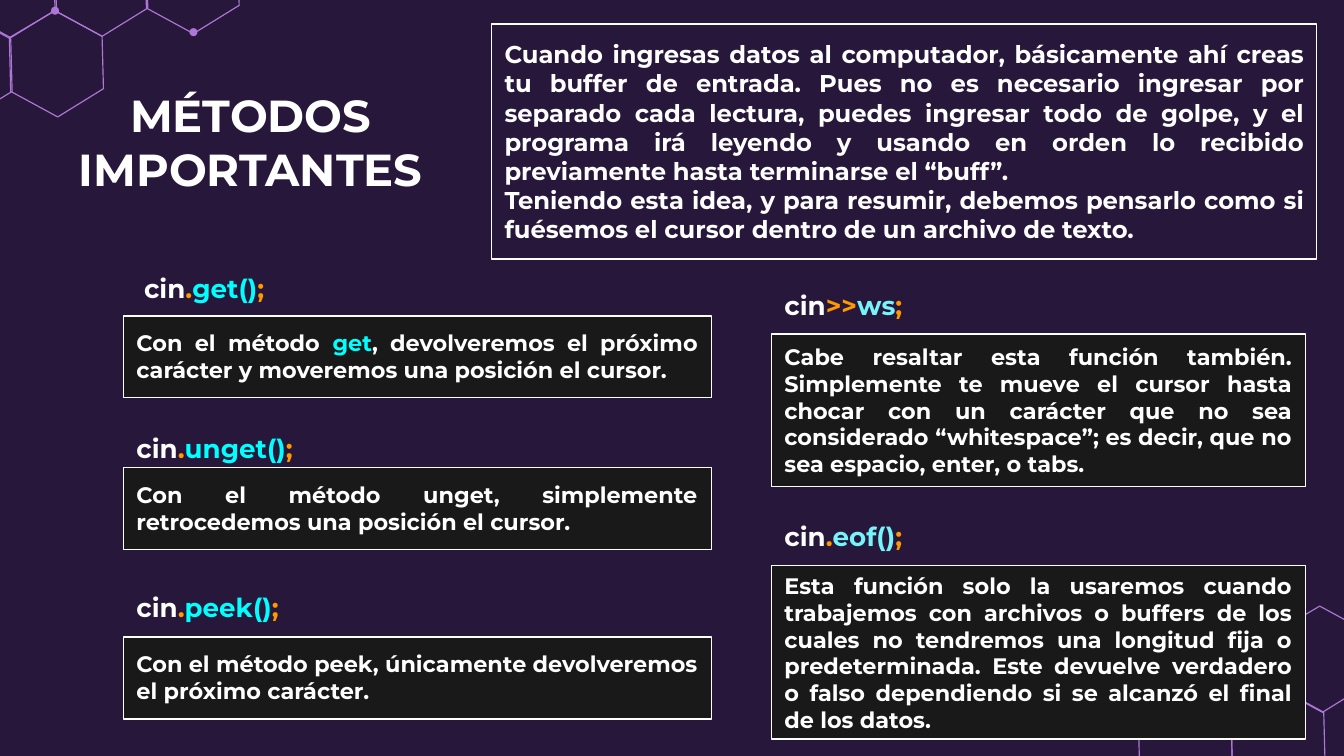
import pptx
import pptx.dml.color
import pptx.enum.shapes
import pptx.enum.text
import pptx.util

COLORS = {
    "night": "27173A", "panel": "191919", "white": "FFFFFF", "violet": "AE77D6",
    "orange": "FF9900", "cyan": "00FFFF", "sky": "76F3FB",
}
WIDTH = pptx.util.Inches(10)
HEIGHT = WIDTH * 9 // 16
COLS = 100
CELL = WIDTH // COLS
LEFT, RIGHT = 9.17, 57.38
LEFT_W, RIGHT_W = 43.75, 39.75
HEXAGON = [(7.1, 5.8), (7, 1.9), (3.5, 0), (0.1, 2), (0.2, 6), (3.7, 7.9)]
HEXAGONS = [
    (-2.9, -5.1), (3.9, -5.2), (10.7, -5.4), (-6.2, 1), (0.6, 0.8),
    (94.7, 45.1), (84.6, 51.3), (91.5, 51.1),
]
DOTS = [(3.8, 0.5), (14.1, 2.1)]
INTRO = [
    [("Cuando ingresas datos al computador, básicamente ahí creas tu buffer de entrada. "
      "Pues no es necesario ingresar por separado cada lectura, puedes ingresar todo de golpe, "
      "y el programa irá leyendo y usando en orden lo recibido previamente hasta terminarse "
      "el “buff”.", "white")],
    [("Teniendo esta idea, y para resumir, debemos pensarlo como si fuésemos el cursor "
      "dentro de un archivo de texto.", "white")],
]
CALLS = [
    ((9.74, 19.3, 20.3, 4.4), ".", "get()", "cyan"),
    ((LEFT, 31.2, 20.3, 4.4), ".", "unget()", "cyan"),
    ((LEFT, 43, 20.3, 4.4), ".", "peek()", "cyan"),
    ((RIGHT, 20.5, 17.5, 4.4), ">>", "ws", "sky"),
    ((RIGHT, 37.74, 17.5, 4.4), ".", "eof()", "sky"),
]
PANELS = [
    ((LEFT, 23.5, LEFT_W, 6.1), "TOP", [
        ("Con el método ", "white"), ("get", "cyan"),
        (", devolveremos el próximo carácter y moveremos una posición el cursor.", "white")]),
    ((LEFT, 34.8, LEFT_W, 6.1), "TOP", [
        ("Con el método unget, simplemente retrocedemos una posición el cursor.", "white")]),
    ((LEFT, 47.4, LEFT_W, 6.1), "TOP", [
        ("Con el método peek, únicamente devolveremos el próximo carácter.", "white")]),
    ((RIGHT, 24.85, RIGHT_W, 11.34), "MIDDLE", [
        ("Cabe resaltar esta función también. Simplemente te mueve el cursor hasta chocar con "
         "un carácter que no sea considerado “whitespace”; es decir, que no sea espacio, "
         "enter, o tabs.", "white")]),
    ((RIGHT, 42.1, RIGHT_W, 12.9), "MIDDLE", [
        ("Esta función solo la usaremos cuando trabajemos con archivos o buffers de los cuales "
         "no tendremos una longitud fija o predeterminada. Este devuelve verdadero o falso "
         "dependiendo si se alcanzó el final de los datos.", "white")]),
]


def rgb(name):
    """Return the named colour."""
    return pptx.dml.color.RGBColor.from_string(COLORS[name])


def cells(*counts):
    """Turn counts of grid cells into lengths."""
    return [round(n * CELL) for n in counts]


def apply(target, values):
    """Set each attribute of target from a dict."""
    for name, value in values.items():
        setattr(target, name, value)


def style(sp, fill=None, line=None, width=0.75):
    """Set fill and outline and drop the shadow."""
    sp.shadow.inherit = False
    for part, color in ((sp.fill, fill), (sp.line.fill, line)):
        if color:
            part.solid()
            part.fore_color.rgb = rgb(color)
        else:
            part.background()
    if line:
        sp.line.width = pptx.util.Pt(width)


def write(sp, paragraphs, size, align="LEFT", anchor="TOP"):
    """Fill a shape with paragraphs of coloured runs."""
    tf = sp.text_frame
    apply(tf, {"word_wrap": True,
               "vertical_anchor": getattr(pptx.enum.text.MSO_ANCHOR, anchor)})
    sides = ("left", "top", "right", "bottom")
    apply(tf, {f"margin_{side}": CELL for side in sides})
    for i, runs in enumerate(paragraphs):
        p = tf.add_paragraph() if i else tf.paragraphs[0]
        p.alignment = getattr(pptx.enum.text.PP_ALIGN, align)
        for text, color in runs:
            r = p.add_run()
            r.text = text
            apply(r.font, {"name": "Montserrat", "size": pptx.util.Pt(size), "bold": True})
            r.font.color.rgb = rgb(color)


def add_hexagon(s, col, row):
    """Outline one tilted hexagon of the honeycomb."""
    points = [cells(col + x, row + y) for x, y in HEXAGON]
    builder = s.shapes.build_freeform(*points[0])
    builder.add_line_segments(points[1:], close=True)
    style(builder.convert_to_shape(), line="violet", width=0.61)


def add_dot(s, col, row):
    """Draw a node of the honeycomb."""
    oval = pptx.enum.shapes.MSO_SHAPE.OVAL
    style(s.shapes.add_shape(oval, *cells(col, row, 0.6, 0.6)), fill="violet")


def add_label(s, box, runs, size, **layout):
    """Add a plain text box with one paragraph."""
    write(s.shapes.add_textbox(*cells(*box)), [runs], size, **layout)


def add_panel(s, box, paragraphs, size, fill, anchor="MIDDLE"):
    """Add a bordered rectangle of justified text."""
    rect = pptx.enum.shapes.MSO_SHAPE.RECTANGLE
    sp = s.shapes.add_shape(rect, *cells(*box))
    style(sp, fill, "white")
    write(sp, paragraphs, size, "JUSTIFY", anchor)


def main():
    """Build the slide and save it."""
    prs = pptx.Presentation()
    apply(prs, {"slide_width": WIDTH, "slide_height": HEIGHT})
    s = prs.slides.add_slide(prs.slide_layouts[6])
    s.background.fill.solid()
    s.background.fill.fore_color.rgb = rgb("night")
    for spot in HEXAGONS:
        add_hexagon(s, *spot)
    for spot in DOTS:
        add_dot(s, *spot)
    add_label(s, (1.4, 5.7, 34.5, 9.7), [("MÉTODOS IMPORTANTES", "white")], 24,
              align="CENTER", anchor="MIDDLE")
    add_panel(s, (36.56, 1.78, 61.4, 17.5), INTRO, 13, "night")
    for box, operator, name, color in CALLS:
        runs = [("cin", "white"), (operator, "orange"), (name, color), (";", "orange")]
        add_label(s, box, runs, 14)
    for box, anchor, runs in PANELS:
        add_panel(s, box, [runs], 12, "panel", anchor)
    prs.save("out.pptx")


if __name__ == "__main__":
    main()
